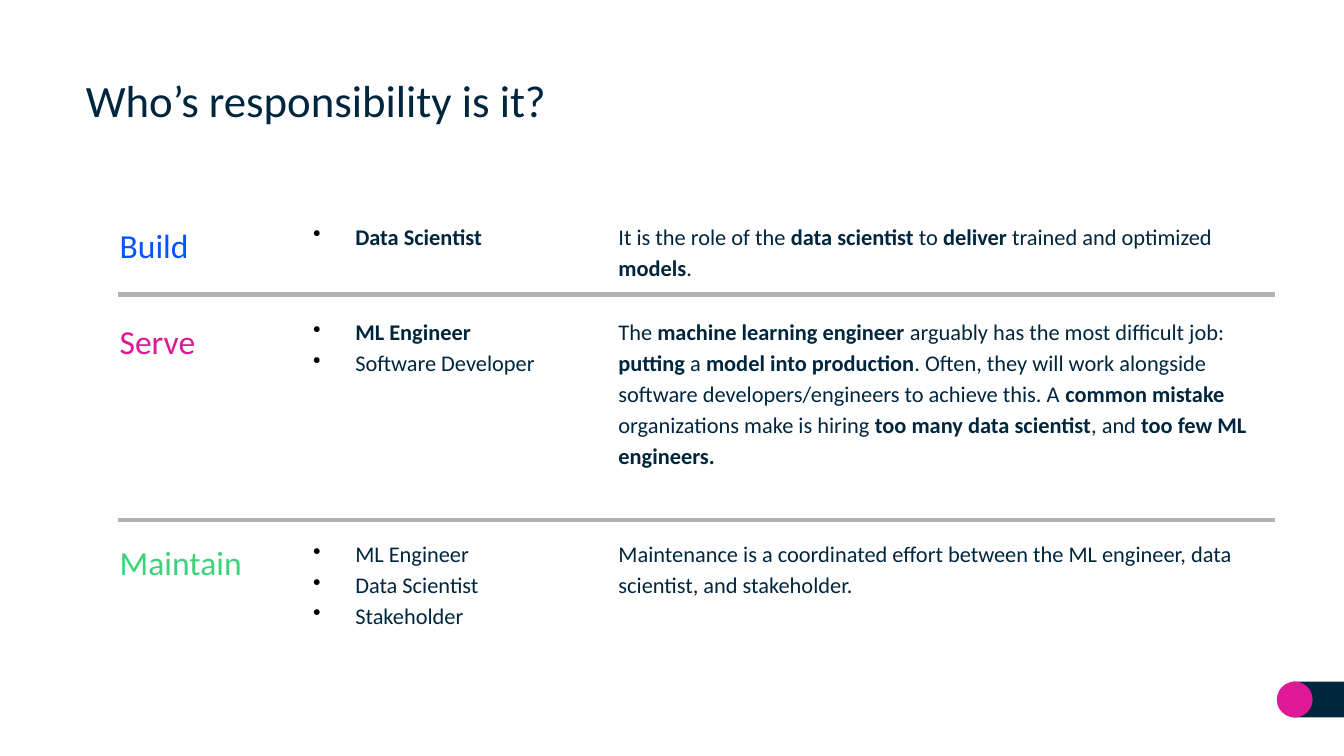
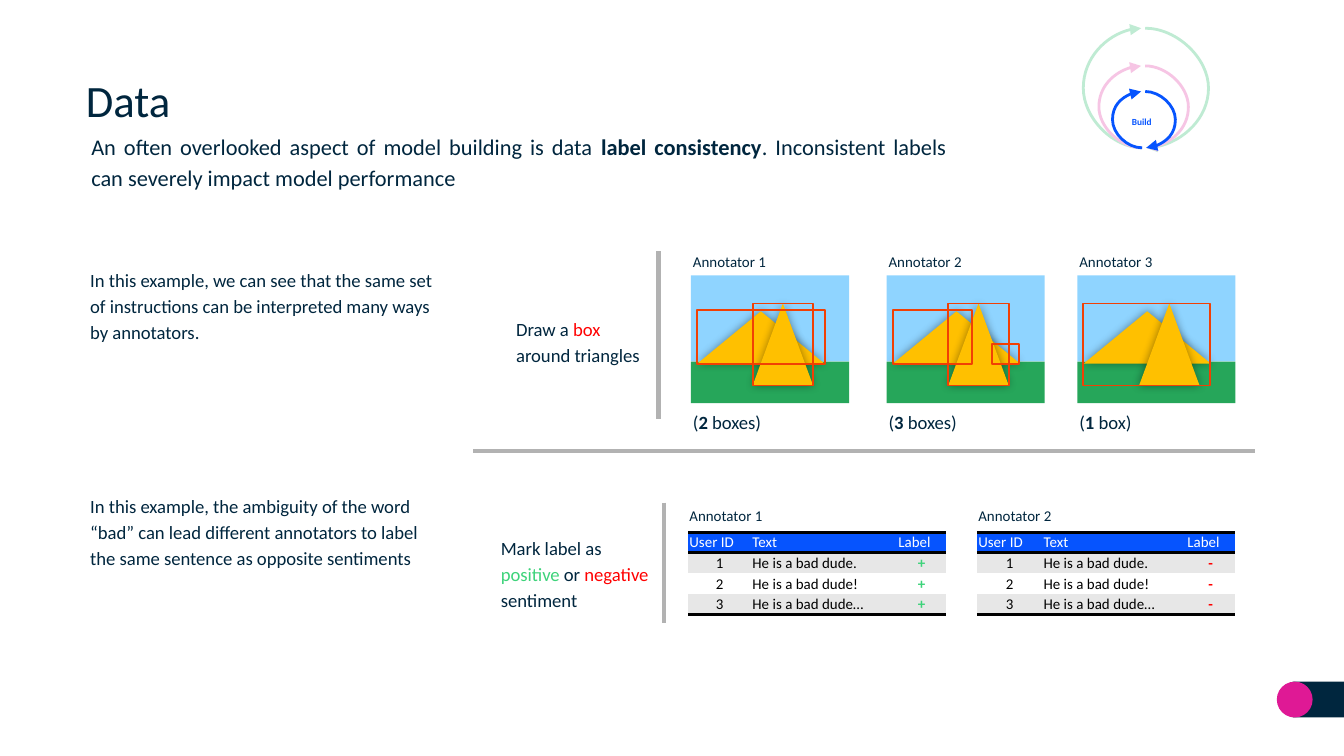
from lxml import etree
from pptx import Presentation
from pptx.dml.color import RGBColor
from pptx.enum import shapes as kinds, text as modes
from pptx.oxml.ns import qn
from pptx.util import Pt

NAVY, BLUE, PINK, GREEN = "00263E", "0654FE", "DF1995", "3DD37A"
RED, GRAY, BLACK, WHITE = "FF0000", "B2B2B2", "000000", "FFFFFF"
SKY, GRASS, GOLD, FRAME, STRIPE = "8FD4FF", "26A65A", "FFC000", "F14004", "E7E7E7"
FONT = "Calibri"
PLAIN_STYLE = "{2D5ABB26-0587-4C30-8999-92F81FD0307C}"
ALIGN = {"l": modes.PP_ALIGN.LEFT, "c": modes.PP_ALIGN.CENTER, "j": modes.PP_ALIGN.JUSTIFY}
KIND = kinds.MSO_SHAPE
LINK = kinds.MSO_CONNECTOR


def rgb(code):
    return RGBColor.from_string(code)


def node(root, tag, **attrs):
    return etree.SubElement(root, qn(tag), {k: str(v) for k, v in attrs.items()})


def style(font, size, color, bold=None):
    font.name, font.size, font.bold = FONT, Pt(size), bold
    font.color.rgb = rgb(color)


def write(para, words, size, color=NAVY, marks=None):
    style(para.font, size, color)
    tints = iter(marks or [])
    for i, part in enumerate(words.split("|")):
        if not part:
            continue
        run = para.add_run()
        run.text = part
        if i % 2 and marks:
            run.font.color.rgb = rgb(next(tints))
        elif i % 2:
            run.font.bold = True


def add_text(area, box, lines, size, color=NAVY, align="l", marks=None, bullet=False):
    frame = area.add_textbox(*map(Pt, box)).text_frame
    frame.word_wrap = True
    frame.auto_size = modes.MSO_AUTO_SIZE.SHAPE_TO_FIT_TEXT
    frame.margin_left = frame.margin_right = Pt(0.72)
    frame.margin_top = frame.margin_bottom = Pt(0.72)
    for i, words in enumerate(lines):
        para = frame.paragraphs[0] if i == 0 else frame.add_paragraph()
        para.alignment, para.line_spacing = ALIGN[align], 1.15
        write(para, words, size, color, marks)
        if bullet:
            props = para._p.get_or_add_pPr()
            props.set("marL", str(Pt(22.5)))
            props.set("indent", str(Pt(-22.5)))
            tint = etree.Element(qn("a:buClr"))
            node(tint, "a:srgbClr", val=BLACK)
            sign = etree.Element(qn("a:buChar"), char="•")
            spot = props.find(qn("a:lnSpc"))
            spot.addnext(tint)
            tint.addnext(sign)


def add_form(area, kind, box, fill=None, line=None, alpha=None, glow=False):
    form = area.add_shape(kind, *map(Pt, box))
    form.shadow.inherit = False
    if fill:
        form.fill.solid()
        form.fill.fore_color.rgb = rgb(fill)
    else:
        form.fill.background()
    if line:
        form.line.color.rgb = rgb(line)
        form.line.width = Pt(1)
    else:
        form.line.fill.background()
    props = form._element.spPr
    if alpha:
        node(props.find(qn("a:solidFill"))[0], "a:alpha", val=alpha * 1000)
    if glow:
        shade = node(props.find(qn("a:effectLst")), "a:outerShdw",
                     blurRad=Pt(5), dist=0, dir=0, algn="ctr", rotWithShape=0)
        node(node(shade, "a:srgbClr", val=BLACK), "a:alpha", val=40000)


def add_line(area, ends, color=GRAY, width=2.25, kind=LINK.STRAIGHT):
    line = area.add_connector(kind, *map(Pt, ends))
    line.line.color.rgb = rgb(color)
    line.line.width = Pt(width)
    node(line._element.spPr, "a:effectLst")
    return line


def add_curve(area, left, top, base, bulge, color, turn):
    wide = 0.54
    line = add_line(area, (left, top, left + wide, base), color, 1.5, LINK.CURVE)
    props = line._element.spPr
    props.xfrm.rot = turn
    guides = props.find(qn("a:prstGeom")).find(qn("a:avLst"))
    node(guides, "a:gd", name="adj1", fmla=f"val {round(bulge / wide * 100000)}")
    node(props.find(qn("a:ln")), "a:tailEnd", type="triangle")


def add_base(deck, title):
    area = deck.slides.add_slide(deck.slide_layouts[6]).shapes
    add_form(area, KIND.RECTANGLE, (692.5, 365.2, 27.5, 19.2), NAVY)
    add_form(area, KIND.OVAL, (684, 365.2, 19.2, 19.2), PINK)
    frame = area.add_textbox(Pt(38.9), Pt(33.4), Pt(644), Pt(39.6)).text_frame
    frame.word_wrap = True
    frame.vertical_anchor = modes.MSO_ANCHOR.MIDDLE
    frame.margin_left = frame.margin_right = Pt(7.2)
    frame.margin_top = frame.margin_bottom = Pt(7.2)
    write(frame.paragraphs[0], title, 24)
    return area


def add_stage(area, left, top, name, color, roles, notes):
    add_text(area, (left, top, 88, 26.6), [name], 18, color, "j")
    add_text(area, (left + 103.7, top, 148, 17.6 * len(roles)), roles, 12,
             align="j", bullet=True)
    add_text(area, (left + 267.2, top, 351, 34.6), [notes], 12)


def add_cycle(area, left, top):
    group = area.add_group_shape().shapes
    base = top + 68.4

    def add_ring(rise, west, east, color):
        add_curve(group, left + 33.9, top + rise, base, west, color, 180)
        add_curve(group, left + 36.1, top + rise, base, east, color, 0)

    add_ring(4.3, 31.6, 34, "00B050")
    add_ring(24.5, 23.2, 23.2, PINK)
    add_form(group, KIND.OVAL, (left, top, 72, 72), WHITE, alpha=75)
    add_ring(38.2, 15.9, 16.2, BLUE)
    add_text(group, (left + 8, top + 49.7, 52.6, 8.6), ["|Build"], 5, BLUE, "c")


def add_scene(area, left, top, name, count, frames):
    group = area.add_group_shape().shapes

    def put(kind, box, **look):
        x, y, *size = box
        add_form(group, kind, (left + x, top + y, *size), **look)

    put(KIND.RECTANGLE, (0, 0, 84.7, 46.1), fill=SKY)
    put(KIND.RECTANGLE, (0, 46.1, 84.7, 22.3), fill=GRASS)
    for hill in ((3.4, 19.2, 68, 28), PEAK):
        put(KIND.ISOSCELES_TRIANGLE, hill, fill=GOLD, glow=True)
    for box in frames:
        put(KIND.RECTANGLE, box, line=FRAME)
    add_text(area, (left + 0.3, top - 14.4, 63.4, 13), [name], 8, align="j")
    add_text(area, (left + 0.3, top + 69.8, 63.4, 15.1), [count], 10, align="j")


def add_border(cell, side):
    line = node(cell._tc.get_or_add_tcPr(), f"a:ln{side}", w=Pt(2))
    node(node(line, "a:solidFill"), "a:srgbClr", val=BLACK)


def add_votes(area, left, top, name, sign, tint, widths):
    add_text(area, (left, top, 63.4, 13), [name], 8, align="j")
    rows = [("User ID", "Text", "Label")]
    rows += [(str(i), "He is a bad dude" + end, "|" + sign)
             for i, end in enumerate((".", "!", "…"), 1)]
    table = area.add_table(4, 3, Pt(left), Pt(top + 15.8), Pt(138.4), Pt(44)).table
    table.first_row = table.horz_banding = False
    table._tbl.tblPr.find(qn("a:tableStyleId")).text = PLAIN_STYLE
    for col, width in zip(table.columns, widths):
        col.width = Pt(width)
    for r, row in enumerate(rows):
        table.rows[r].height = Pt(11)
        for c, words in enumerate(row):
            cell = table.cell(r, c)
            cell.margin_left = cell.margin_right = Pt(0.72)
            cell.margin_top = cell.margin_bottom = Pt(0.72)
            for side in {0: "TB", 3: "B"}.get(r, ""):
                add_border(cell, side)
            cell.fill.solid()
            cell.fill.fore_color.rgb = rgb(BLUE if r == 0 else STRIPE if r % 2 else WHITE)
            para = cell.text_frame.paragraphs[0]
            para.alignment = ALIGN["c" if r and c != 1 else "l"]
            write(para, words, 8, WHITE if r == 0 else tint if c == 2 else BLACK)


PEAK = (33, 15, 32.4, 44)
STAGES = [
    (116.6, "Build", BLUE, ["|Data Scientist"],
     "It is the role of the |data scientist |to |deliver| trained and optimized |models|."),
    (167.8, "Serve", PINK, ["|ML Engineer", "Software Developer"],
     "The| machine learning engineer |arguably has the most difficult job: |putting| a "
     "|model into production|. Often, they will work alongside software "
     "developers/engineers to achieve this. A |common mistake |organizations make is "
     "hiring |too many data scientist|, and| too few ML engineers."),
    (286.6, "Maintain", GREEN, ["ML Engineer", "Data Scientist", "Stakeholder"],
     "Maintenance is a coordinated effort between the ML engineer, data scientist, "
     "and stakeholder."),
]
SCENES = [
    (370.2, "(|2| boxes)", [(3.4, 18.5, 68.4, 29), PEAK]),
    (475, "(|3| boxes)", [(3.2, 18.5, 42.5, 29), PEAK, (56.4, 36.7, 14.4, 10.6)]),
    (577.2, "(|1| box)", [(3, 15, 68, 44)]),
]
VOTES = [
    (368.6, "+", GREEN, (33.8, 78.2, 26.4)),
    (523.4, "-", RED, (35, 77, 26.4)),
]


def add_roles(deck):
    area = add_base(deck, "Who’s responsibility is it?")
    for top, *parts in STAGES:
        add_stage(area, 63.4, top, *parts)
    for y in (157.8, 278.6):
        add_line(area, (63.4, y, 683.2, y))


def add_data(deck):
    area = add_base(deck, "Data")
    add_cycle(area, 577.4, 10.8)
    add_text(area, (48.2, 68.4, 459.4, 34.6),
             ["An often overlooked aspect of model building is data |label consistency|. "
              "Inconsistent labels can severely impact model performance"], 12, align="j")
    add_text(area, (47.6, 141.8, 186.5, 56.9),
             ["In this example, we can see that the same set of instructions can be "
              "interpreted many ways by annotators."], 10)
    add_text(area, (47.6, 262.8, 186.5, 56.9),
             ["In this example, the ambiguity of the word “bad” can lead different "
              "annotators to label the same sentence as opposite sentiments"], 10)
    add_text(area, (275.8, 167.8, 69.1, 43.2), ["Draw a |box| around triangles"], 10,
             marks=[RED])
    add_text(area, (267.6, 285.2, 85, 56.9),
             ["Mark label as |positive| or |negative| sentiment"], 10, marks=[GREEN, RED])
    for i, (left, count, frames) in enumerate(SCENES, 1):
        add_scene(area, left, 147.6, f"Annotator {i}", count, frames)
    for i, (left, *parts) in enumerate(VOTES, 1):
        add_votes(area, left, 269.3, f"Annotator {i}", *parts)
    add_line(area, (352.8, 134.6, 352.8, 224.6))
    add_line(area, (355.7, 269.3, 355.7, 334))
    add_line(area, (253.6, 241.8, 672.4, 241.8))


def main():
    deck = Presentation()
    deck.slide_width, deck.slide_height = Pt(720), Pt(405)
    add_roles(deck)
    add_data(deck)
    deck.save("out.pptx")


if __name__ == "__main__":
    main()
